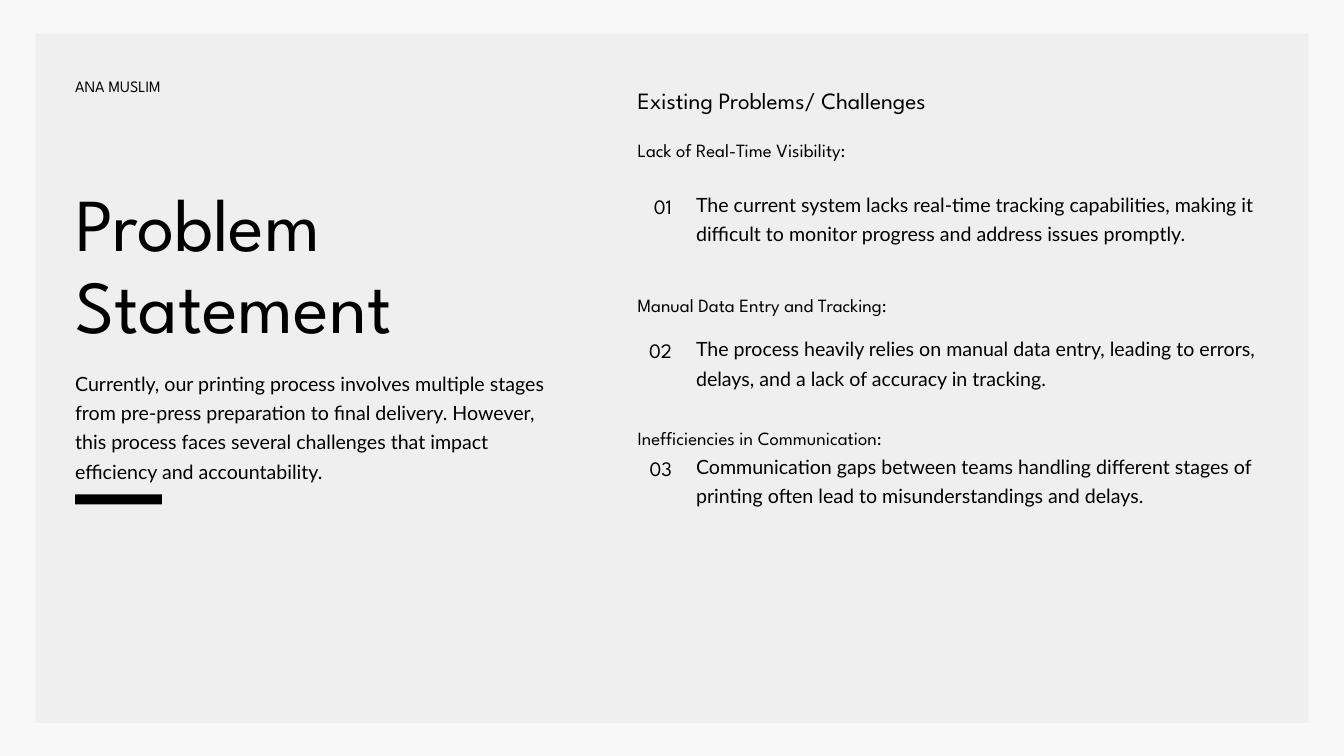
from pptx import Presentation
from pptx.dml.color import RGBColor
from pptx.enum.shapes import MSO_SHAPE
from pptx.enum.text import MSO_ANCHOR, MSO_AUTO_SIZE, PP_ALIGN
from pptx.util import Cm, Pt

BACKGROUND = RGBColor(0xF8, 0xF8, 0xF8)
PANEL = RGBColor(0xEF, 0xEF, 0xEF)
BLACK = RGBColor(0, 0, 0)
HEAD_FONT, BODY_FONT = "League Spartan", "Lato"
LEFT, RIGHT, ITEM_LEFT = 2.84, 24.1, 26.31  # column edges in cm

prs = Presentation()
prs.slide_width, prs.slide_height = Cm(50.8), Cm(28.58)
s = prs.slides.add_slide(prs.slide_layouts[5])
s.background.fill.solid()
s.background.fill.fore_color.rgb = BACKGROUND


def add_block(x, y, w, h, color):
    sp = s.shapes.add_shape(MSO_SHAPE.RECTANGLE, Cm(x), Cm(y), Cm(w), Cm(h))
    sp.shadow.inherit = False
    sp.fill.solid()
    sp.fill.fore_color.rgb = color
    sp.line.fill.background()
    return sp


def write(text, x, y, w, h, size, font=HEAD_FONT, leading=1.4,
          align=PP_ALIGN.LEFT, sp=None):
    """Write into the placeholder sp, or into a new text box."""
    sp = sp or s.shapes.add_textbox(0, 0, 0, 0)
    sp.left, sp.top, sp.width, sp.height = Cm(x), Cm(y), Cm(w), Cm(h)
    tf = sp.text_frame
    tf.text = text
    tf.word_wrap = True
    tf.auto_size = MSO_AUTO_SIZE.NONE
    tf.vertical_anchor = MSO_ANCHOR.TOP
    tf.margin_left = tf.margin_right = tf.margin_top = tf.margin_bottom = 0
    for p in tf.paragraphs:
        p.alignment = align
        p.line_spacing = Pt(size * leading)
        p.font.size = Pt(size)
        p.font.name = font
        p.font.color.rgb = BLACK


# Panel behind everything, title above it
panel = add_block(1.35, 1.27, 48.11, 26.06, PANEL)
title = s.shapes.title
panel.element.addnext(title.element)

# Left column: author, title, introduction, accent bar
write("ANA MUSLIM", LEFT, 2.77, 16.43, 0.79, 17)
write("Problem\nStatement", LEFT, 6.96, 19.3, 6.3, 80, leading=1.1, sp=title)
write("Currently, our printing process involves multiple stages from pre-press "
      "preparation to final delivery. However, this process faces several "
      "challenges that impact efficiency and accountability.",
      LEFT, 13.82, 18.42, 4.42, 21, BODY_FONT, 1.5)
add_block(LEFT, 18.69, 3.28, 0.38, BLACK)

# Right column: numbered problems (heading top, item top, heading, text)
write("Existing Problems/ Challenges", RIGHT, 3.07, 16.43, 1.17, 25)
problems = [
    (5.11, 7.06, "Lack of Real-Time Visibility:",
     "The current system lacks real-time tracking capabilities, making it "
     "difficult to monitor progress and address issues promptly."),
    (10.97, 12.52, "Manual Data Entry and Tracking:",
     "The process heavily relies on manual data entry, leading to errors, "
     "delays, and a lack of accuracy in tracking."),
    (16, 16.97, "Inefficiencies in Communication:",
     "Communication gaps between teams handling different stages of printing "
     "often lead to misunderstandings and delays."),
]
for number, (head_top, item_top, heading, text) in enumerate(problems, 1):
    write(heading, RIGHT, head_top, 16.43, 0.97, 20)
    write(f"{number:02}", RIGHT, item_top + 0.12, 1.3, 1.07, 22,
          align=PP_ALIGN.RIGHT)
    write(text, ITEM_LEFT, item_top, 21.64, 3.3, 21, BODY_FONT, 1.5)

prs.save("out.pptx")
